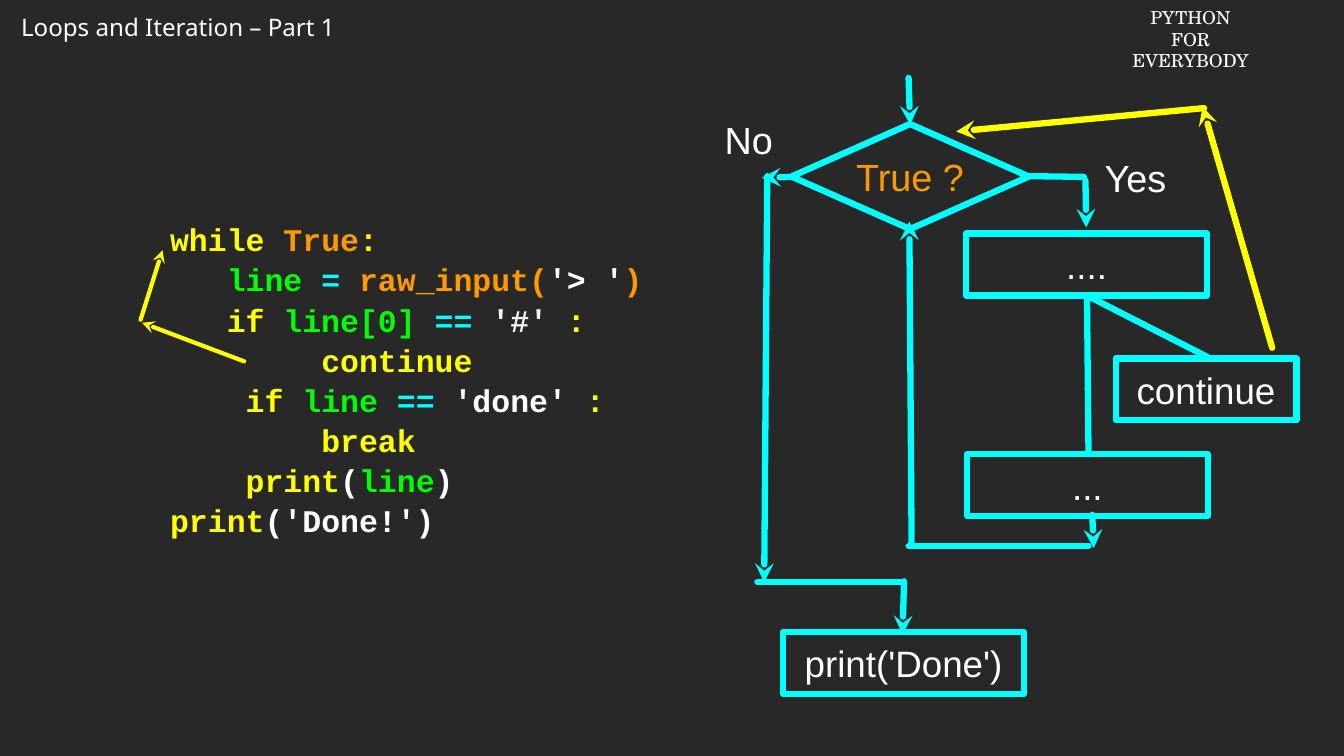
from lxml import etree
from pptx import Presentation
from pptx import util as u
from pptx.dml.color import RGBColor
from pptx.enum import shapes, text
from pptx.oxml.ns import qn

DARK = RGBColor(0x28, 0x28, 0x28)
WHITE = RGBColor(0xFF, 0xFF, 0xFF)
PALE = RGBColor(0xF3, 0xF3, 0xF3)
CYAN = RGBColor(0x00, 0xFF, 0xFF)
GOLD = RGBColor(0xFF, 0xFF, 0x00)
AMBER = RGBColor(0xFF, 0x99, 0x00)
GREEN = RGBColor(0x00, 0xFF, 0x00)

TITLE = [[("Loops and Iteration – Part 1", WHITE)]]
BRAND = [[("PYTHON FOR", WHITE)], [("EVERYBODY", WHITE)]]
CODE = [
    [("while ", GOLD), ("True", AMBER), (":", GOLD)],
    [("   ", WHITE), ("line ", GREEN), ("= ", CYAN), ("raw_input(", AMBER),
     ("'> '", WHITE), (")", AMBER)],
    [("   ", WHITE), ("if", GOLD), (" line[0] ", GREEN), ("== ", CYAN),
     ("'#' ", PALE), (":", GOLD)],
    [("        ", WHITE), ("continue", GOLD)],
    [("    ", WHITE), ("if ", GOLD), ("line ", GREEN), ("== ", CYAN),
     ("'done' ", WHITE), (":", GOLD)],
    [("        ", WHITE), ("break", GOLD)],
    [("    ", WHITE), ("print", GOLD), ("(", WHITE), ("line", GREEN), (")", WHITE)],
    [("print", GOLD), ("('Done!')", WHITE)],
]

# Places are in inches: left, top, width, height
RECT, KITE = shapes.MSO_SHAPE.RECTANGLE, shapes.MSO_SHAPE.DIAMOND
NODES = [
    (KITE, "True ?", AMBER, 36, (10.47, 1.64, 3.14, 1.39)),
    (RECT, "....", WHITE, 35, (12.78, 3.09, 3.19, 0.82)),
    (RECT, "continue", WHITE, 35, (14.76, 4.74, 2.39, 0.82)),
    (RECT, "...", WHITE, 35, (12.79, 6.01, 3.19, 0.82)),
    (RECT, "print('Done')", WHITE, 35, (10.36, 8.36, 3.19, 0.82)),
]
LABELS = [("No", (9.51, 1.51, 0.79, 0.68)), ("Yes", (14.54, 2, 0.96, 0.68))]

# Start, end; an arrow points at its end
LINES = [
    ((14.34, 2.34), (13.6, 2.33)),
    ((12.02, 7.22), (14.4, 7.22)),
    ((10.02, 7.7), (11.94, 7.7)),
    ((15.97, 4.72), (14.38, 3.91)),
    ((14.4, 6.01), (14.38, 3.91)),
]
FLOWS = [
    ((12.02, 1.03), (12.04, 1.65)),
    ((12.06, 7.22), (12.03, 2.93)),
    ((10.52, 2.34), (10.08, 2.35)),
    ((10.15, 2.33), (10.11, 7.7)),
    ((11.96, 7.69), (11.94, 8.39)),
    ((14.36, 2.39), (14.37, 3.01)),
    ((14.45, 6.81), (14.47, 7.25)),
]
JUMPS = [((15.93, 1.43), (12.65, 1.74)), ((16.83, 4.6), (15.91, 1.41))]
HINTS = [((1.86, 4.23), (2.15, 3.31)), ((3.23, 4.78), (1.88, 4.27))]


def cm(inch):
    return u.Cm(inch * 2.54)


def write(shape, rows, size, font, mid=True, bold=False, wrap=True, lead=None):
    frame = shape.text_frame
    frame.word_wrap = wrap
    if mid:
        frame.vertical_anchor = text.MSO_ANCHOR.MIDDLE
        frame.margin_left = frame.margin_right = 0
        frame.margin_top = frame.margin_bottom = 0
    for i, row in enumerate(rows):
        para = frame.paragraphs[0] if i == 0 else frame.add_paragraph()
        para.alignment = text.PP_ALIGN.LEFT if rows in (CODE, TITLE) else text.PP_ALIGN.CENTER
        if lead:
            para.line_spacing = lead
        for words, color in row:
            run = para.add_run()
            run.text = words
            run.font.size = u.Pt(size)
            run.font.name = font
            run.font.bold = bold
            run.font.color.rgb = color


def stroke(shape, color, width, tip=False):
    shape.line.color.rgb = color
    shape.line.width = u.Pt(width)
    ln = shape.line._get_or_add_ln()
    ln.set("cap", "rnd")
    etree.SubElement(ln, qn("a:round"))
    if tip:
        etree.SubElement(ln, qn("a:tailEnd"), type="stealth")


def box(slide, place):
    return slide.shapes.add_textbox(*map(cm, place))


def main():
    deck = Presentation()
    deck.slide_width, deck.slide_height = cm(17.78), cm(10)
    slide = deck.slides.add_slide(deck.slide_layouts[6])
    fill = slide.background.fill
    fill.solid()
    fill.fore_color.rgb = DARK

    # Heading, course name and code
    write(box(slide, (0.18, 0.12, 4.52, 0.49)), TITLE, 23, "Noto Sans", mid=False, wrap=False)
    write(box(slide, (14.88, 0.04, 1.74, 0.67)), BRAND, 17, "TeX Gyre Schola", mid=False)
    write(box(slide, (2.25, 2.58, 6.88, 4.85)), CODE, 30, "Courier New", bold=True, lead=1.06)

    # Flowchart nodes and branch labels
    for kind, words, color, size, place in NODES:
        node = slide.shapes.add_shape(kind, *map(cm, place))
        node.shadow.inherit = False
        node.fill.background()
        stroke(node, CYAN, 6)
        write(node, [[(words, color)]], size, "Arial", wrap=kind == RECT)
    for words, place in LABELS:
        write(box(slide, place), [[(words, WHITE)]], 36, "Arial", wrap=False)

    # Lines and arrows
    for group, color, width, tip in [(LINES, CYAN, 6, False), (FLOWS, CYAN, 6, True),
                                     (JUMPS, GOLD, 6, True), (HINTS, GOLD, 4, True)]:
        for start, end in group:
            link = slide.shapes.add_connector(shapes.MSO_CONNECTOR.STRAIGHT,
                                              *map(cm, start + end))
            stroke(link, color, width, tip)
            etree.SubElement(link._element.spPr, qn("a:effectLst"))

    deck.save("out.pptx")


if __name__ == "__main__":
    main()
